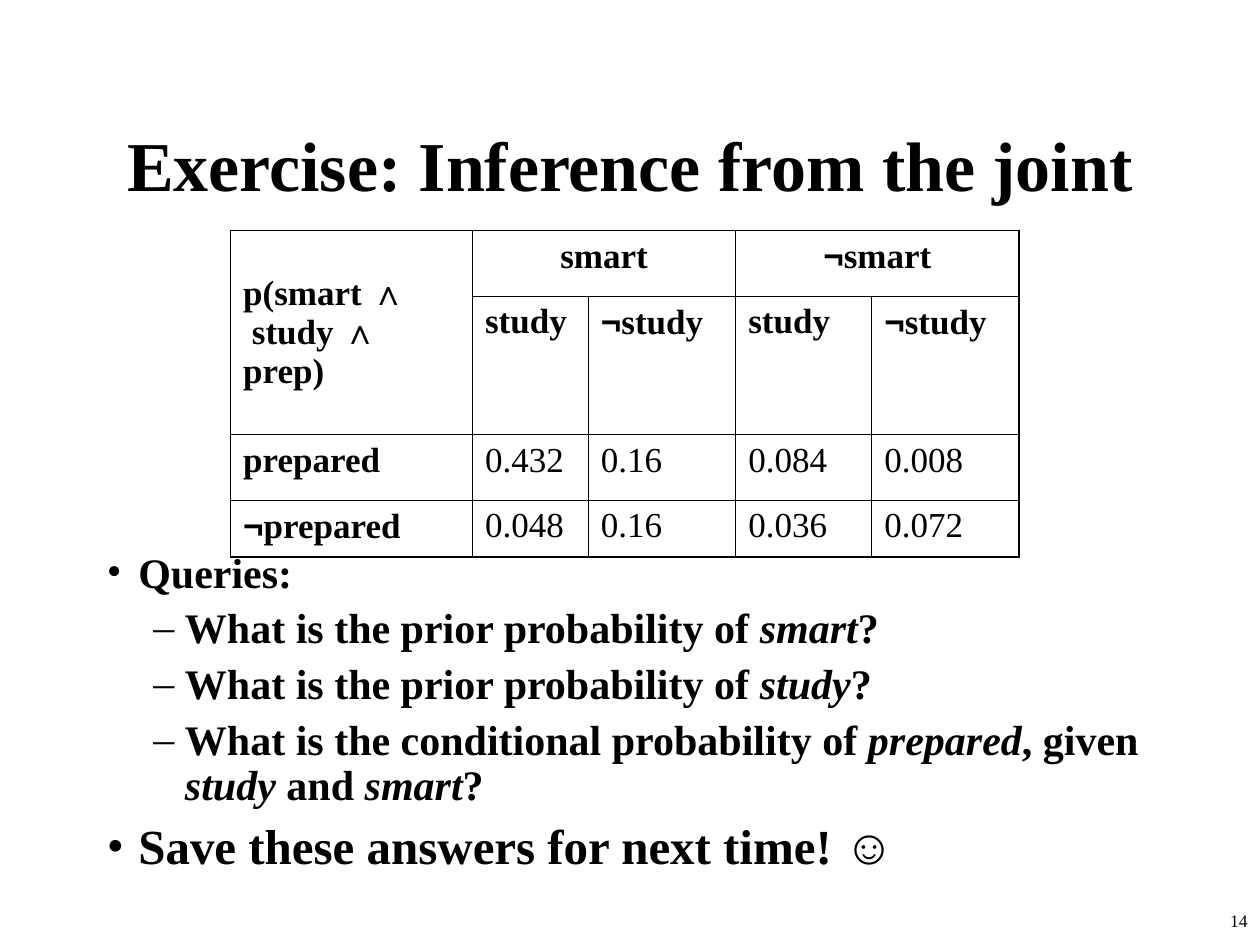
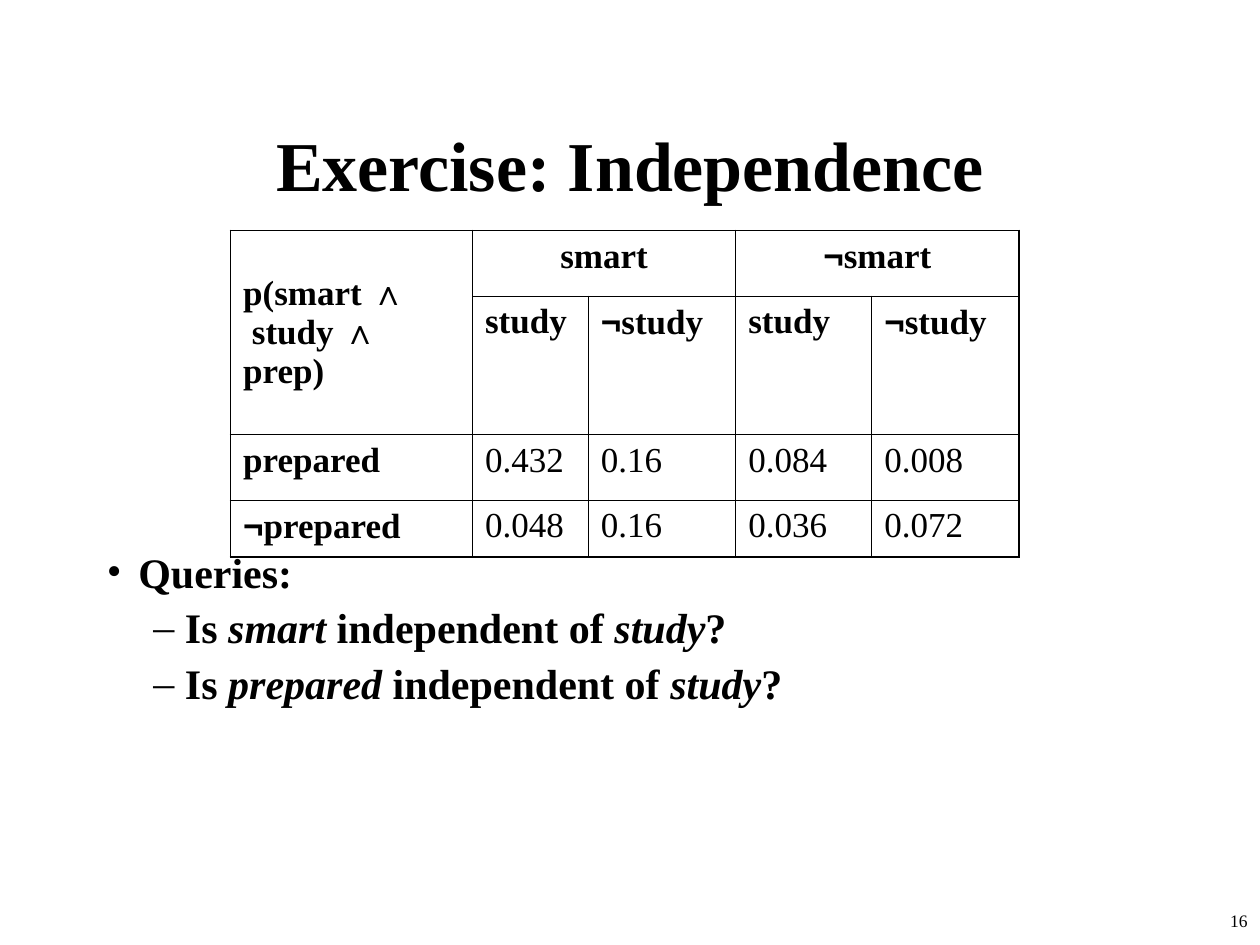
from itertools import groupby

from lxml.etree import SubElement
from pptx import Presentation
from pptx.dml.color import RGBColor
from pptx.enum.text import MSO_ANCHOR, MSO_AUTO_SIZE, PP_ALIGN
from pptx.oxml.ns import qn
from pptx.util import Inches, Pt

COLORS = {"ink": "000000", "paper": "FFFFFF"}
FONT, SYMBOL_FONT = "Times New Roman", "Arial"
SYMBOLS = "∧¬☺"

# Words between asterisks are italic; each bullet is (level, size, space before, text).
SLIDES = [
    ("Exercise: Inference from the joint", 14, [
        (0, 24, 6, "Queries:"),
        (1, 24, 6, "What is the prior probability of *smart*?"),
        (1, 24, 6, "What is the prior probability of *study*?"),
        (1, 24, 6, "What is the conditional probability of *prepared*, given *study* and *smart*?"),
        (0, 28, 7, "Save these answers for next time! ☺"),
    ]),
    ("Exercise: Independence", 16, [
        (0, 24, 6, "Queries:"),
        (1, 24, 6, "Is *smart* independent of *study*?"),
        (1, 24, 6, "Is *prepared* independent of *study*?"),
    ]),
]

# None marks a cell covered by the merged cell above it or to its left.
JOINT = [
    ["p(smart ∧\n study ∧ prep)", "smart", None, "¬smart", None],
    [None, "study", "¬study", "study", "¬study"],
    ["prepared", "0.432", "0.16", "0.084", "0.008"],
    ["¬prepared", "0.048", "0.16", "0.036", "0.072"],
]
MERGES = [((0, 0), (1, 0)), ((0, 1), (0, 2)), ((0, 3), (0, 4))]
COL_WIDTHS = [1.92, 0.92, 1.17, 1.08, 1.17]
ROW_HEIGHTS = [0.52, 0.77, 0.52, 0.45]
INNER_LINE, OUTER_LINE = 0.45, 1.08

TITLE_BOX = (0.75, 0.67, 8.5, 1.25)
TABLE_AT = (1.83, 1.83)
QUERIES_BOX = (0.75, 4.33, 8.5, 2.75)
NUMBER_BOX = (7.92, 7.17, 2.08, 0.33)
BULLETS = [("•", 0.25), ("–", 0.62)]  # character and text indent by level
HANGING = 0.25


def add_text(p, text, size, bold=False):
    """Add runs, turning *words* italic and setting symbols in their own font."""
    for i, part in enumerate(text.split("*")):
        for is_symbol, chars in groupby(part, lambda ch: ch in SYMBOLS):
            for j, line in enumerate("".join(chars).split("\n")):
                if j:
                    p.add_line_break()
                if not line:
                    continue
                r = p.add_run()
                r.text = line
                r.font.name = SYMBOL_FONT if is_symbol else FONT
                r.font.size = Pt(size)
                r.font.bold = bold
                r.font.italic = i % 2 == 1
                r.font.color.rgb = RGBColor.from_string(COLORS["ink"])


def add_box(s, box):
    tf = s.shapes.add_textbox(*map(Inches, box)).text_frame
    tf.word_wrap = True
    return tf


def set_bullet(p, level):
    char, indent = BULLETS[level]
    p.level = level
    pPr = p._p.get_or_add_pPr()
    pPr.set("marL", str(Inches(indent)))
    pPr.set("indent", str(-Inches(HANGING)))
    color = SubElement(pPr, qn("a:buClr"))
    SubElement(color, qn("a:srgbClr"), val=COLORS["ink"])
    SubElement(pPr, qn("a:buFont"), typeface=FONT)
    SubElement(pPr, qn("a:buChar"), char=char)


def set_borders(cell, row, col):
    """Draw the table's outer edges thicker than its inner ones."""
    last_row = row + cell.span_height if cell.is_merge_origin else row + 1
    last_col = col + cell.span_width if cell.is_merge_origin else col + 1
    outer = {"L": col == 0, "R": last_col == len(COL_WIDTHS),
             "T": row == 0, "B": last_row == len(ROW_HEIGHTS)}
    tcPr = cell._tc.get_or_add_tcPr()
    for side, is_outer in outer.items():
        width = Pt(OUTER_LINE if is_outer else INNER_LINE)
        ln = SubElement(tcPr, qn(f"a:ln{side}"), w=str(width))
        fill = SubElement(ln, qn("a:solidFill"))
        SubElement(fill, qn("a:srgbClr"), val=COLORS["ink"])


def add_title(s, text):
    title = s.shapes.title
    title.left, title.top, title.width, title.height = map(Inches, TITLE_BOX)
    tf = title.text_frame
    tf.auto_size = MSO_AUTO_SIZE.NONE
    tf.vertical_anchor = MSO_ANCHOR.MIDDLE
    p = tf.paragraphs[0]
    p.alignment = PP_ALIGN.CENTER
    add_text(p, text, 40, bold=True)


def add_joint_table(s):
    size = (sum(COL_WIDTHS), sum(ROW_HEIGHTS))
    table = s.shapes.add_table(len(ROW_HEIGHTS), len(COL_WIDTHS),
                               *map(Inches, TABLE_AT + size)).table
    table.first_row = table.horz_banding = False
    for column, width in zip(table.columns, COL_WIDTHS):
        column.width = Inches(width)
    for row, height in zip(table.rows, ROW_HEIGHTS):
        row.height = Inches(height)
    for start, end in MERGES:
        table.cell(*start).merge(table.cell(*end))
    for i, texts in enumerate(JOINT):
        for j, text in enumerate(texts):
            if text is None:
                continue
            cell = table.cell(i, j)
            set_borders(cell, i, j)
            cell.fill.background()
            if (i, j) == (0, 0):
                cell.vertical_anchor = MSO_ANCHOR.MIDDLE
            p = cell.text_frame.paragraphs[0]
            p.space_before = Pt(5)
            if i == 0 and j > 0:
                p.alignment = PP_ALIGN.CENTER
            add_text(p, text, 20, bold=i < 2 or j == 0)


def add_queries(s, bullets):
    tf = add_box(s, QUERIES_BOX)
    for i, (level, size, before, text) in enumerate(bullets):
        p = tf.paragraphs[0] if i == 0 else tf.add_paragraph()
        p.line_spacing = 0.9
        p.space_before = Pt(before)
        set_bullet(p, level)
        add_text(p, text, size, bold=True)


def add_number(s, number):
    p = add_box(s, NUMBER_BOX).paragraphs[0]
    p.alignment = PP_ALIGN.RIGHT
    add_text(p, str(number), 10)


def main():
    prs = Presentation()
    prs.slide_width, prs.slide_height = Inches(10), Inches(7.5)
    background = prs.slide_master.background.fill
    background.solid()
    background.fore_color.rgb = RGBColor.from_string(COLORS["paper"])
    for title, number, bullets in SLIDES:
        s = prs.slides.add_slide(prs.slide_layouts[5])
        add_number(s, number)
        add_title(s, title)
        add_queries(s, bullets)
        add_joint_table(s)
    prs.save("out.pptx")


if __name__ == "__main__":
    main()
